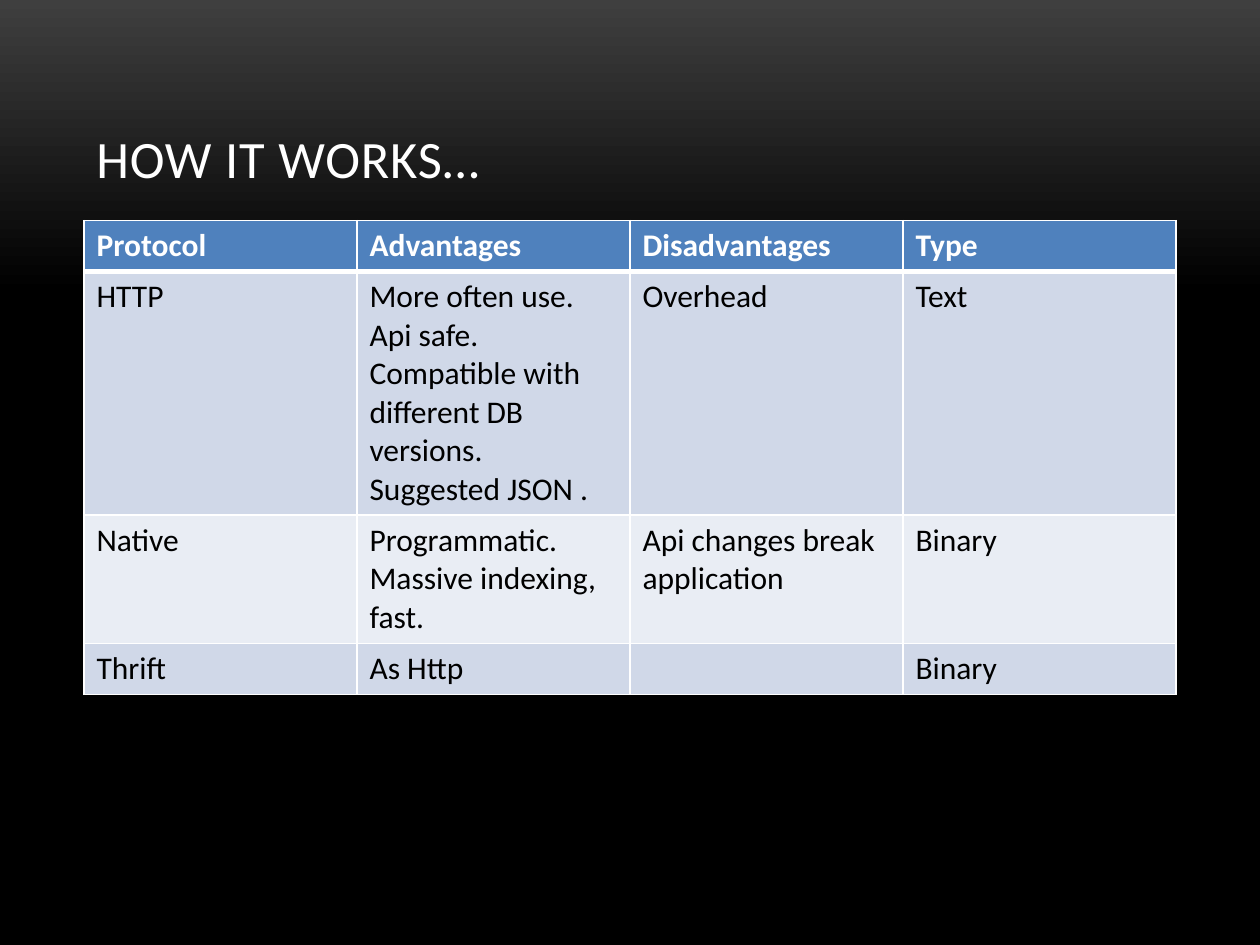
import pptx
import pptx.dml.color
import pptx.enum.text
import pptx.oxml
import pptx.oxml.ns
import pptx.util

Pt = pptx.util.Pt

COLORS = {
    "white": "FFFFFF",
    "black": "000000",
    "glow": "3F3F3F",
    "header": "4F81BD",
    "odd": "D0D8E8",
    "even": "E9EDF4",
}
FONT = "Calibri"
LEFT, WIDTH = 48, 624
ROW_HEIGHTS = [29.2, 139.2, 73.2, 29.2]
PROTOCOLS = [
    ["Protocol", "Advantages", "Disadvantages", "Type"],
    ["HTTP", "More often use. Api safe. Compatible with different DB versions. Suggested JSON .",
     "Overhead", "Text"],
    ["Native", "Programmatic. Massive indexing, fast.", "Api changes break application", "Binary"],
    ["Thrift", "As Http", "", "Binary"],
]


def rgb(name):
    return pptx.dml.color.RGBColor.from_string(COLORS[name])


def style(paragraph, size, color, bold=False):
    font = paragraph.font
    font.name, font.size, font.bold = FONT, Pt(size), bold
    font.color.rgb = rgb(color)


def paint_background(slide):
    fill = slide.background.fill
    fill.gradient()
    fill.gradient_angle = 270
    for stop, (position, color) in zip(fill.gradient_stops, [(0, "glow"), (0.31, "black")]):
        stop.position = position
        stop.color.rgb = rgb(color)


def add_title(slide, text):
    title = slide.shapes.add_textbox(Pt(LEFT), Pt(21.6), Pt(WIDTH), Pt(90)).text_frame
    title.word_wrap = True
    title.vertical_anchor = pptx.enum.text.MSO_ANCHOR.BOTTOM
    heading = title.paragraphs[0]
    words = heading.add_run()
    words.text = text
    words.font._element.set("spc", "50")
    style(heading, 30, "white")


def set_borders(cell, top, bottom):
    properties = cell._tc.get_or_add_tcPr()
    widths = {"lnL": 1, "lnR": 1, "lnT": top, "lnB": bottom}
    for index, (side, width) in enumerate(widths.items()):
        properties.insert(index, pptx.oxml.parse_xml(
            f'<a:{side} {pptx.oxml.ns.nsdecls("a")} w="{Pt(width)}"><a:solidFill>'
            f'<a:srgbClr val="{COLORS["white"]}"/></a:solidFill></a:{side}>'))


def fill_cell(cell, text, row):
    header = row == 0
    cell.text = text
    style(cell.text_frame.paragraphs[0], 18, "white" if header else "black", header)
    cell.fill.solid()
    cell.fill.fore_color.rgb = rgb("header" if header else "odd" if row % 2 else "even")
    set_borders(cell, top=3 if row == 1 else 1, bottom=3 if header else 1)


def add_protocol_table(slide):
    table = slide.shapes.add_table(
        len(PROTOCOLS), len(PROTOCOLS[0]),
        Pt(LEFT), Pt(126), Pt(WIDTH), Pt(sum(ROW_HEIGHTS))).table
    for row, (height, texts) in enumerate(zip(ROW_HEIGHTS, PROTOCOLS)):
        table.rows[row].height = Pt(height)
        for column, text in enumerate(texts):
            fill_cell(table.cell(row, column), text, row)


def main():
    deck = pptx.Presentation()
    deck.slide_width, deck.slide_height = Pt(720), Pt(540)
    slide = deck.slides.add_slide(deck.slide_layouts[6])
    paint_background(slide)
    add_title(slide, "HOW IT WORKS…")
    add_protocol_table(slide)
    deck.save("out.pptx")


if __name__ == "__main__":
    main()
